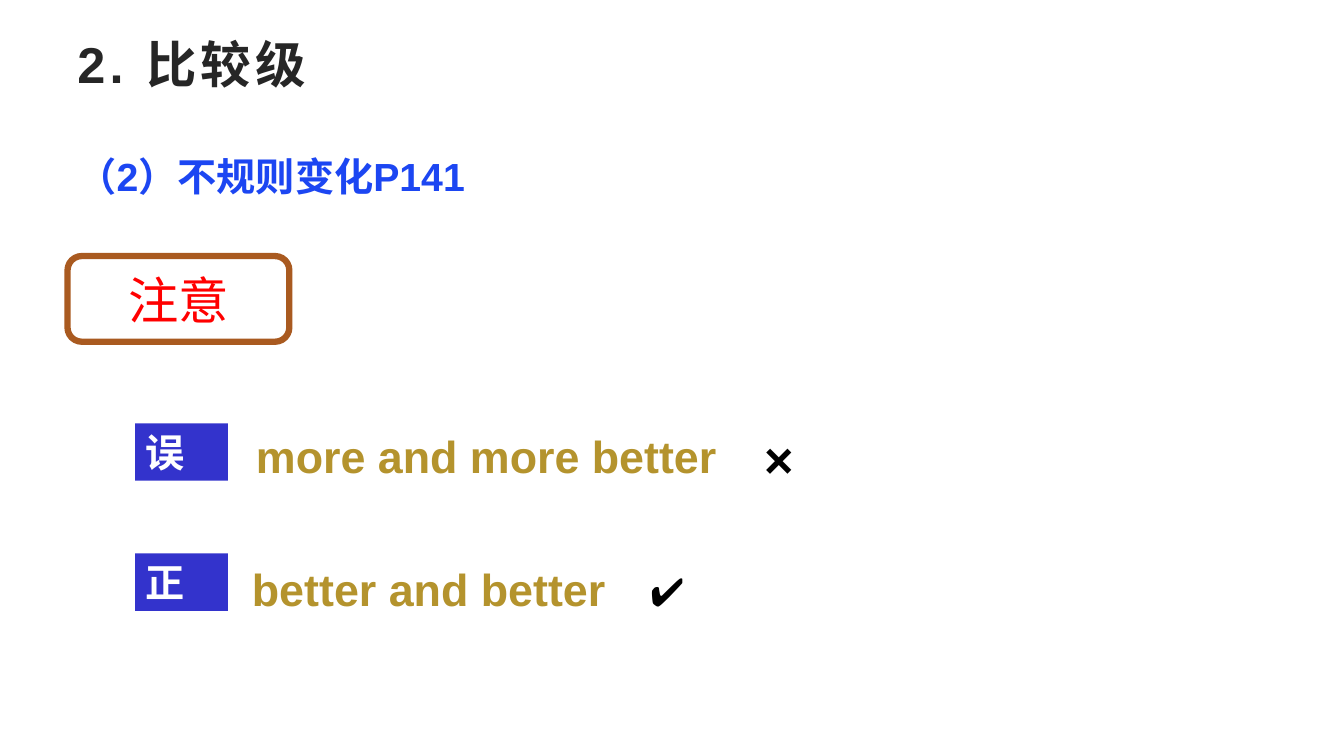
from lxml.etree import SubElement
from pptx import Presentation
from pptx.dml.color import RGBColor
from pptx.enum.shapes import MSO_SHAPE
from pptx.enum.text import MSO_ANCHOR, PP_ALIGN
from pptx.oxml.ns import qn
from pptx.util import Inches, Pt

# Content
TITLE = "2. 比较级"
SUBTITLE = "（2）不规则变化P141"
NOTICE = "注意"
# Each example: label, phrase, mark, then the boxes of the three
EXAMPLES = [
    ("误", "more and more better", "×",
     (1.34, 4.2, 0.92, 0.57), (2.44, 4.2, 6.42, 0.64), (7.48, 4.2, 2.78, 0.71)),
    ("正", "better and better", "✔",
     (1.34, 5.49, 0.92, 0.57), (2.4, 5.52, 5.08, 0.64), (6.35, 5.58, 2.78, 0.57)),
]
MARK_STYLES = {"×": "cross", "✔": "tick"}

# Theme: text styles as size, colour, bold
THEME = {
    "font": "Arial",
    "label_fill": "3333CC",
    "notice_line": "A95A20",
    "notice_width": 4.5,
    "title": (36, "262626", True),
    "subtitle": (28, "1C46F2", True),
    "notice": (36, "FF0000", False),
    "label": (28, "FFFFFF", True),
    "phrase": (32, "B4932D", True),
    "cross": (36, "000000", True),
    "tick": (28, "000000", False),
}
LEFT = 0.67
HALF_LINE = "50000"

deck = Presentation()
deck.slide_width, deck.slide_height = Inches(13.33), Inches(7.5)
slide = deck.slides.add_slide(deck.slide_layouts[6])


def write(holder, text, style, anchor=MSO_ANCHOR.TOP, **paragraph_format):
    """Put one styled paragraph into a box and return it with its run."""
    frame = holder.text_frame
    frame.word_wrap = True
    frame.vertical_anchor = anchor
    paragraph = frame.paragraphs[0]
    paragraph_format.setdefault("alignment", PP_ALIGN.LEFT)
    for name, value in paragraph_format.items():
        setattr(paragraph, name, value)
    run = paragraph.add_run()
    run.text = text
    size, color, bold = THEME[style]
    for name, value in {"name": THEME["font"], "size": Pt(size), "bold": bold}.items():
        setattr(run.font, name, value)
    run.font.color.rgb = RGBColor.from_string(color)
    SubElement(run.font._element, qn("a:ea"), typeface=THEME["font"])
    return paragraph, run


def add_text(box, text, style, **options):
    return write(slide.shapes.add_textbox(*map(Inches, box)), text, style, **options)


def add_block(preset, box):
    block = slide.shapes.add_shape(preset, *map(Inches, box))
    block.shadow.inherit = False
    return block


def space_before_half_line(paragraph):
    spacing = SubElement(paragraph._p.get_or_add_pPr(), qn("a:spcBef"))
    SubElement(spacing, qn("a:spcPct"), val=HALF_LINE)


# Headings
_, title_run = add_text((LEFT, 0.24, 12.28, 0.77), TITLE, "title", anchor=MSO_ANCHOR.MIDDLE)
title_run.font._element.set("spc", "300")
add_text((LEFT, 1.23, 7.29, 0.81), SUBTITLE, "subtitle",
         line_spacing=1.5, space_before=Pt(10), space_after=Pt(10))

# Notice frame
notice = add_block(MSO_SHAPE.ROUNDED_RECTANGLE, (LEFT, 2.54, 2.2, 0.85))
notice.fill.background()
notice.line.color.rgb = RGBColor.from_string(THEME["notice_line"])
notice.line.width = Pt(THEME["notice_width"])
write(notice, NOTICE, "notice", anchor=MSO_ANCHOR.MIDDLE, alignment=PP_ALIGN.CENTER)

# Wrong and right examples
for label, phrase, mark, label_box, phrase_box, mark_box in EXAMPLES:
    tag = add_block(MSO_SHAPE.RECTANGLE, label_box)
    tag.fill.solid()
    tag.fill.fore_color.rgb = RGBColor.from_string(THEME["label_fill"])
    tag.line.fill.background()
    for paragraph, _ in (write(tag, label, "label"), add_text(phrase_box, phrase, "phrase")):
        space_before_half_line(paragraph)
    add_text(mark_box, mark, MARK_STYLES[mark])

deck.save("out.pptx")
